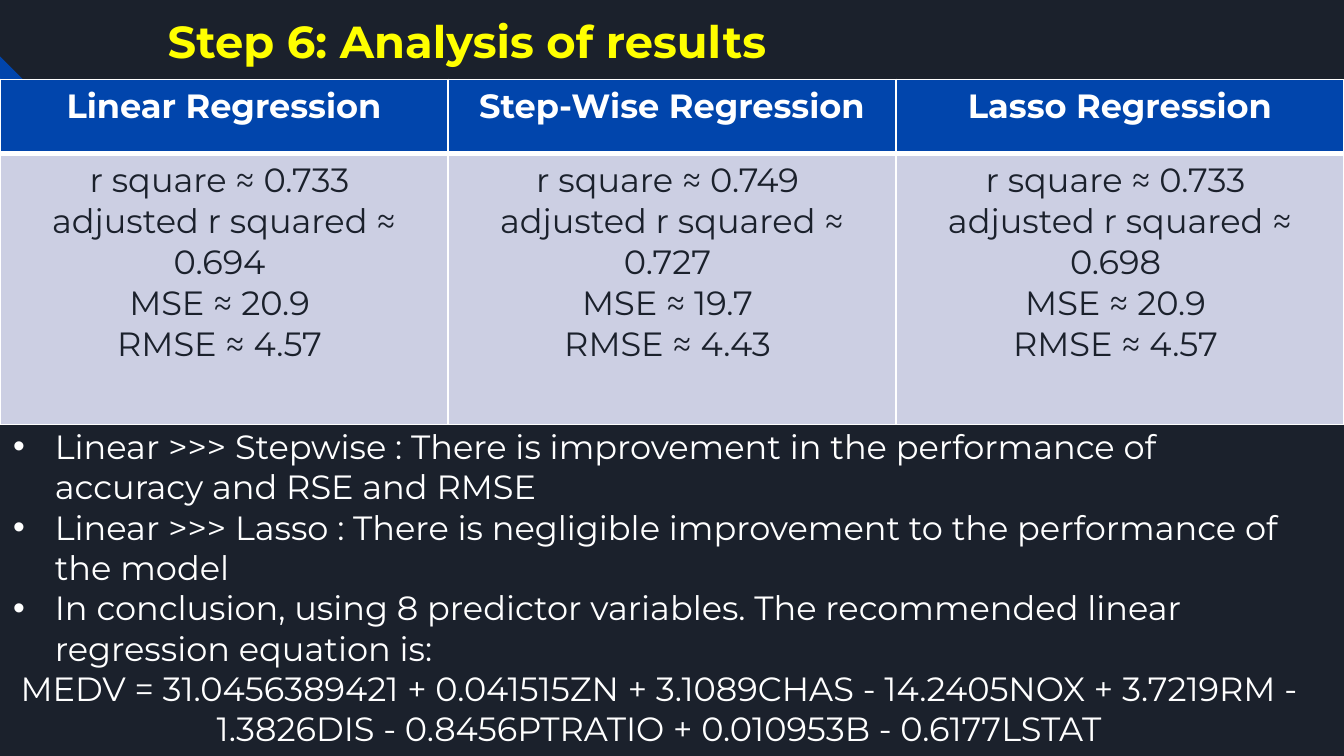
"""Build the regression results slide."""
from lxml.etree import SubElement
from pptx import Presentation
from pptx.dml.color import RGBColor
from pptx.enum.shapes import MSO_SHAPE as Shape
from pptx.enum.text import PP_ALIGN as Align
from pptx.oxml.ns import qn
from pptx.util import Inches, Pt

SLIDE_WIDTH = 10
SLIDE_HEIGHT = SLIDE_WIDTH * 9 / 16
NAVY, BLUE, LAVENDER = "1B212C", "0145AC", "CCCFE3"
WHITE, YELLOW = "FFFFFF", "FFFF00"
NBSP = chr(160)

TITLE = "Step 6: Analysis of results"
MEASURES = ["r square", "adjusted r squared", "MSE", "RMSE"]
MODELS = {
    "Linear Regression": ["0.733", "0.694", "20.9", "4.57"],
    "Step-Wise Regression": ["0.749", "0.727", "19.7", "4.43"],
    "Lasso Regression": ["0.733", "0.698", "20.9", "4.57"],
}
FINDINGS = [
    "Linear >>> Stepwise : There is improvement in the performance of accuracy and RSE and RMSE",
    "Linear >>> Lasso : There is negligible improvement to the performance of the model",
    "In conclusion, using 8 predictor variables. The recommended linear regression equation is:",
]
EQUATION = (
    "MEDV = 31.0456389421 + 0.041515ZN + 3.1089CHAS - 14.2405NOX + 3.7219RM"
    " - 1.3826DIS - 0.8456PTRATIO + 0.010953B - 0.6177LSTAT"
)
ROW_HEIGHTS = [0.55, 2.02]


def color(value):
    return RGBColor.from_string(value)


def box(*lengths):
    return [Inches(length) for length in lengths]


def paint(target, value):
    target.fill.solid()
    target.fill.fore_color.rgb = color(value)


def write(paragraph, text, value, size=18, bold=False, align=Align.LEFT):
    paragraph.text = text
    paragraph.alignment = align
    formats = {"name": "Montserrat", "size": Pt(size), "bold": bold}
    for run in paragraph.runs:
        for name, setting in formats.items():
            setattr(run.font, name, setting)
        run.font.color.rgb = color(value)


def add_text_box(slide, lengths, inset=0.05):
    frame = slide.shapes.add_textbox(*box(*lengths)).text_frame
    frame.word_wrap = True
    frame.margin_top = frame.margin_bottom = Inches(inset)
    return frame


def add_bullet(paragraph):
    properties = paragraph._p.get_or_add_pPr()
    properties.set("marL", str(Inches(0.31)))
    properties.set("indent", str(Inches(-0.31)))
    bullet_color = SubElement(properties, qn("a:buClr"))
    SubElement(bullet_color, qn("a:srgbClr"), val=WHITE)
    SubElement(properties, qn("a:buFont"), typeface="Arial")
    SubElement(properties, qn("a:buChar"), char="•")


def add_borders(cell, widths):
    properties = cell._tc.get_or_add_tcPr()
    for side, width in zip("LRTB", widths):
        line = SubElement(properties, qn(f"a:ln{side}"), w=str(Pt(width)))
        fill = SubElement(line, qn("a:solidFill"))
        SubElement(fill, qn("a:srgbClr"), val=WHITE)


def add_results(slide):
    lengths = box(0, 0.59, SLIDE_WIDTH, sum(ROW_HEIGHTS))
    table = slide.shapes.add_table(len(ROW_HEIGHTS), len(MODELS), *lengths).table
    for row, height in zip(table.rows, ROW_HEIGHTS):
        row.height = Inches(height)
    for index, (model, values) in enumerate(MODELS.items()):
        table.columns[index].width = Inches(SLIDE_WIDTH / len(MODELS))
        results = "\n".join(
            f"{measure} ≈ {value}{NBSP}" for measure, value in zip(MEASURES, values)
        )
        cells = [
            (model, WHITE, True, BLUE, (1, 1, 1, 3)),
            (results, NAVY, False, LAVENDER, (1, 1, 1, 1)),
        ]
        for row, (text, ink, bold, fill, widths) in enumerate(cells):
            cell = table.cell(row, index)
            add_borders(cell, widths)
            paint(cell, fill)
            write(cell.text_frame.paragraphs[0], text, ink, bold=bold, align=Align.CENTER)


def add_conclusions(slide):
    frame = add_text_box(slide, (0, 3.12, 9.81, 2.52))
    paragraph = frame.paragraphs[0]
    for finding in FINDINGS:
        write(paragraph, finding, WHITE)
        add_bullet(paragraph)
        paragraph = frame.add_paragraph()
    write(paragraph, EQUATION, WHITE, align=Align.CENTER)


def main():
    presentation = Presentation()
    presentation.slide_width, presentation.slide_height = box(SLIDE_WIDTH, SLIDE_HEIGHT)
    slide = presentation.slides.add_slide(presentation.slide_layouts[6])
    paint(slide.background, NAVY)

    stripe = slide.shapes.add_shape(Shape.DIAGONAL_STRIPE, *box(0, 0.42, 0.88, 0.88))
    stripe.rotation = 270
    stripe.shadow.inherit = False
    stripe.line.fill.background()
    paint(stripe, BLUE)

    title = add_text_box(slide, (1.15, 0, 7.7, 1), inset=0.1)
    write(title.paragraphs[0], TITLE, YELLOW, size=24, bold=True)
    add_results(slide)
    add_conclusions(slide)
    presentation.save("out.pptx")


if __name__ == "__main__":
    main()
